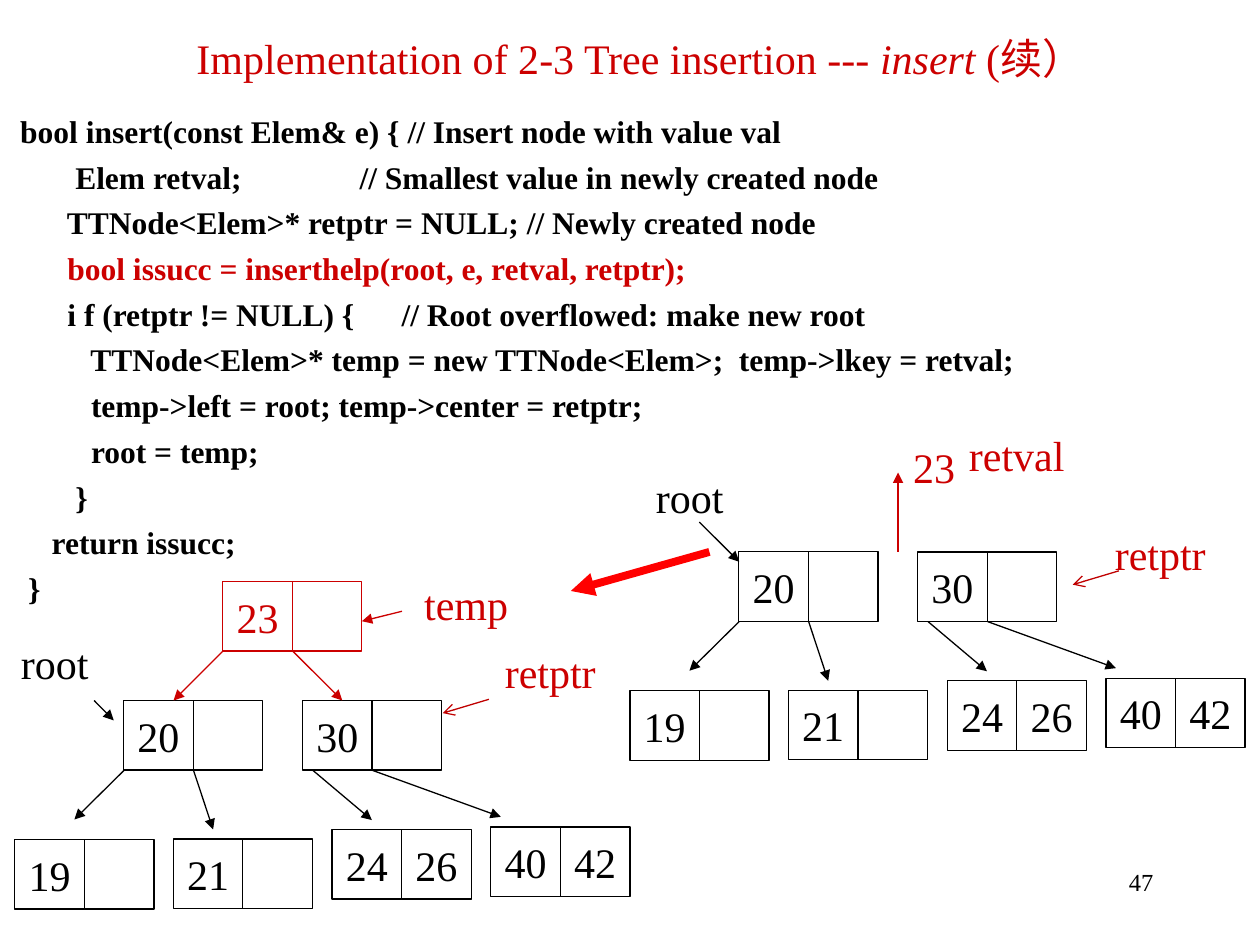
from lxml import etree
from pptx import Presentation
from pptx import util as u
from pptx.dml.color import RGBColor
from pptx.enum import shapes, text
from pptx.oxml.ns import qn

Pt = u.Pt
BLACK = RGBColor(0x00, 0x00, 0x00)
CRIMSON = RGBColor(0xCC, 0x00, 0x00)
DARK_RED = RGBColor(0xC0, 0x00, 0x00)
RED = RGBColor(0xFF, 0x00, 0x00)
FONT = "Times New Roman"
CELL = 39.75
CENTER = text.PP_ALIGN.CENTER


def write(para, words, size=24, color=BLACK, bold=False, italic=False, align=None):
    para.alignment = align
    span = para.add_run()
    span.text = words
    span.font.name = FONT
    span.font.size = Pt(size)
    span.font.color.rgb = color
    span.font.bold = bold
    span.font.italic = italic


def add_arrow(page, start, end, color=BLACK, width=0.75, head="triangle"):
    points = [Pt(value) for value in (*start, *end)]
    arrow = page.shapes.add_connector(shapes.MSO_CONNECTOR.STRAIGHT, *points)
    arrow.line.color.rgb = color
    arrow.line.width = Pt(width)
    etree.SubElement(arrow.line._get_or_add_ln(), qn("a:tailEnd"), type=head)
    etree.SubElement(arrow._element.spPr, qn("a:effectLst"))


deck = Presentation()
deck.slide_width, deck.slide_height = Pt(720), Pt(540)
page = deck.slides.add_slide(deck.slide_layouts[5])

# Title
title = page.shapes.title
title.left, title.top, title.width, title.height = Pt(101.5), Pt(15.1), Pt(534.2), Pt(36)
title.text_frame.word_wrap = False
title.text_frame.auto_size = text.MSO_AUTO_SIZE.NONE
title.text_frame.vertical_anchor = text.MSO_ANCHOR.TOP
heading = title.text_frame.paragraphs[0]
write(heading, "Implementation of 2-3 Tree insertion --- ", color=CRIMSON, align=CENTER)
write(heading, "insert ", color=CRIMSON, italic=True, align=CENTER)
write(heading, "(续） ", color=CRIMSON, align=CENTER)

# Code listing
code_lines = [
    " bool insert(const Elem& e) { // Insert node with value val",
    "        Elem retval;               // Smallest value in newly created node",
    "       TTNode<Elem>* retptr = NULL; // Newly created node",
    "       bool issucc = inserthelp(root, e, retval, retptr);",
    "       i f (retptr != NULL) {      // Root overflowed: make new root",
    "          TTNode<Elem>* temp = new TTNode<Elem>;  temp->lkey = retval;",
    "          temp->left = root; temp->center = retptr;",
    "          root = temp;",
    "        }",
    "     return issucc;",
    "  }",
]
code_box = page.shapes.add_textbox(Pt(0), Pt(60.5), Pt(720), Pt(476))
code_box.text_frame.word_wrap = True
for index, line in enumerate(code_lines):
    para = code_box.text_frame.paragraphs[0] if index == 0 else code_box.text_frame.add_paragraph()
    if index:
        para.space_before = Pt(4.5)
    write(para, line, size=18, bold=True, color=CRIMSON if "inserthelp" in line else BLACK)

# Subtrees before and after the split share one layout, moved by an offset
tree_nodes = [
    (422.2, 315.3, "20", ""), (524.4, 315.4, "30", ""),
    (360, 394.7, "19", ""), (450.5, 394.4, "21", ""),
    (541.3, 389, "24", "26"), (632, 387.6, "40", "42"),
]
tree_edges = [
    ((422.4, 355.2), (394, 383.3)), ((462.1, 355.2), (473.3, 389)),
    ((530.3, 355.2), (564, 383.6)), ((564.3, 355.2), (637.7, 381.8)),
]
nodes = [(127.3, 332.4, "23", "", CRIMSON)]
for dx, dy in [(0, 0), (-351.5, 85)]:
    nodes += [(x + dx, y + dy, left, right, BLACK) for x, y, left, right in tree_nodes]
    for (x1, y1), (x2, y2) in tree_edges:
        add_arrow(page, (x1 + dx, y1 + dy), (x2 + dx, y2 + dy))

# Two-cell nodes
for x, y, left, right, color in nodes:
    for column, key in enumerate((left, right)):
        cell = page.shapes.add_shape(shapes.MSO_SHAPE.RECTANGLE, Pt(x + column * CELL), Pt(y),
                                     Pt(CELL), Pt(CELL))
        cell.shadow.inherit = False
        cell.fill.background()
        cell.line.color.rgb = color
        cell.line.width = Pt(0.75)
        if key:
            cell.text_frame.word_wrap = False
            cell.text_frame.vertical_anchor = text.MSO_ANCHOR.MIDDLE
            write(cell.text_frame.paragraphs[0], key, color=color, align=CENTER)

# New root edges and pointer arrows
add_arrow(page, (127.4, 372), (99.2, 400.3), CRIMSON)
add_arrow(page, (167.2, 372), (195.6, 400.3), CRIMSON)
add_arrow(page, (229.7, 349.3), (206.8, 355), CRIMSON)
add_arrow(page, (513.2, 315.4), (513.2, 270), CRIMSON)
add_arrow(page, (399.6, 298.3), (422.4, 321))
add_arrow(page, (53.8, 400.3), (65, 411.7))
add_arrow(page, (639.4, 326.2), (613, 334.1), DARK_RED, head="arrow")
add_arrow(page, (279.4, 399.6), (253, 407.5), DARK_RED, head="arrow")

# Transition between the trees
add_arrow(page, (405.4, 315.4), (326.2, 337.7), RED, width=4.5)

# Labels, each box a little wider than its word
labels = [
    ("23", 513.8, 248.8, 40, CRIMSON), ("retval", 545.5, 242, 71, CRIMSON),
    ("retptr", 629, 298.5, 68, CRIMSON), ("retptr", 280.5, 366, 68, CRIMSON),
    ("temp", 233.4, 327, 66, CRIMSON),
    ("root", 366.2, 266, 56, BLACK), ("root", 3.3, 360.7, 56, BLACK),
]
for words, x, y, width, color in labels:
    box = page.shapes.add_textbox(Pt(x), Pt(y), Pt(width), Pt(36))
    box.text_frame.word_wrap = False
    box.text_frame.auto_size = text.MSO_AUTO_SIZE.SHAPE_TO_FIT_TEXT
    write(box.text_frame.paragraphs[0], words, color=color, align=CENTER)

# Page number
number_box = page.shapes.add_textbox(Pt(516.2), Pt(492), Pt(150), Pt(36))
number_box.text_frame.word_wrap = True
write(number_box.text_frame.paragraphs[0], "47", size=14, align=text.PP_ALIGN.RIGHT)

deck.save("out.pptx")
